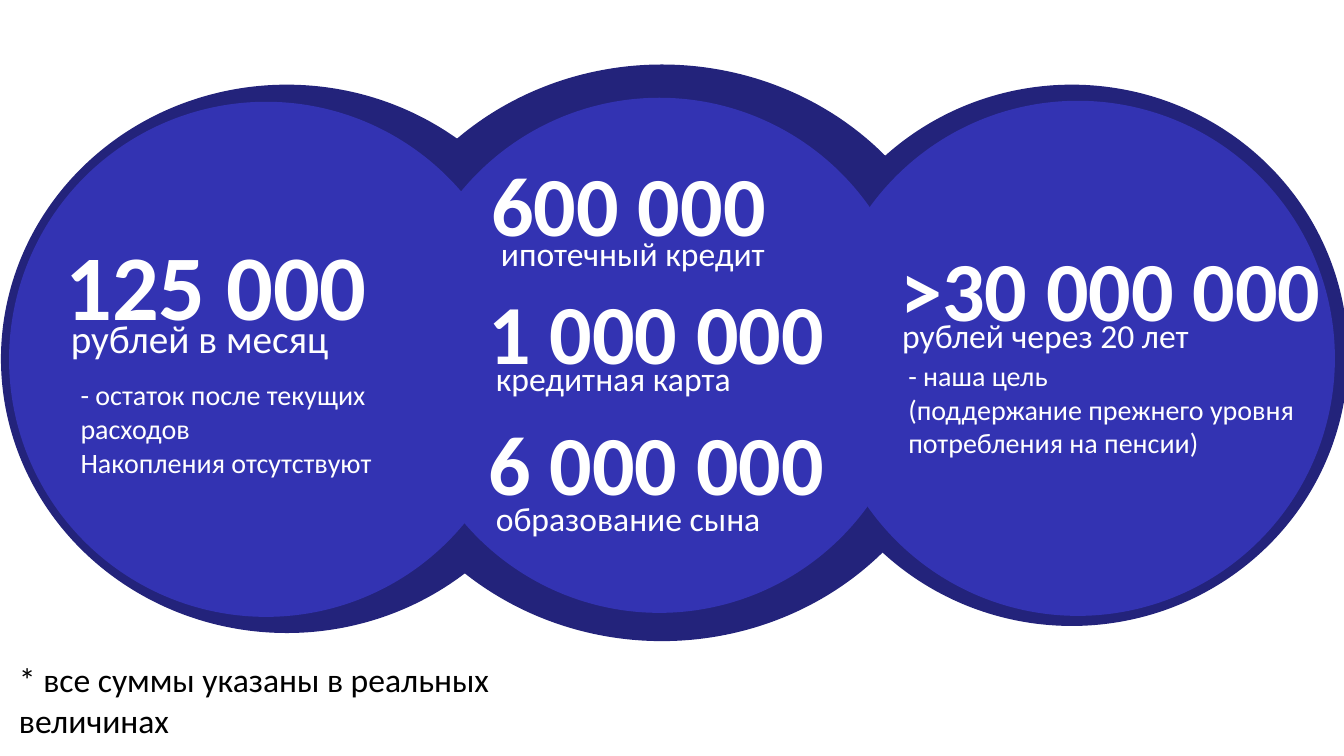
from dataclasses import dataclass

from pptx import Presentation
from pptx.dml.color import RGBColor
from pptx.enum.shapes import MSO_SHAPE
from pptx.enum.text import MSO_AUTO_SIZE, PP_ALIGN
from pptx.slide import Slide
from pptx.util import Inches, Pt

OVAL = MSO_SHAPE.OVAL
GROW = MSO_AUTO_SIZE.SHAPE_TO_FIT_TEXT
LEFT, CENTER = PP_ALIGN.LEFT, PP_ALIGN.CENTER
FONT = "Calibri"
COLORS = {"rim": "23237B", "disc": "3333B2", "light": "FFFFFF", "dark": "000000"}


@dataclass
class Disc:
    x: float
    y: float
    w: float
    h: float
    color: str = "rim"


@dataclass
class Label:
    x: float
    y: float
    w: float
    h: float
    lines: tuple[str, ...]
    size: int
    align: PP_ALIGN = LEFT
    bold: bool = False
    color: str = "light"


def amount(x: float, y: float, w: float, text: str, size: int = 60, h: float = 1.11) -> Label:
    return Label(x, y, w, h, (text,), size, CENTER, True)


def caption(x: float, y: float, w: float, text: str) -> Label:
    return Label(x, y, w, 0.5, (text,), 24)


RIMS = [
    Disc(7.89, 0.84, 5.48, 5.37),
    Disc(3.53, 0.64, 6.07, 5.72),
    Disc(0.01, 0.84, 5.67, 5.44),
]
DISCS = [Disc(x, y, 5.1, 5.11, "disc") for x, y in ((0.09, 1.01), (3.99, 0.97), (8.14, 1))]

LABELS = [
    amount(0.5, 2.21, 3.29, "125 000", 66, 1.21),
    Label(0.7, 3.7, 3.29, 1.11,
          ("- остаток после текущих расходов", "Накопления отсутствуют"), 20),
    Label(0.56, 3.07, 2.84, 0.57, ("рублей в месяц",), 28, CENTER),
    amount(4.59, 1.46, 3.29, "600 000"),
    caption(4.87, 2.26, 3.13, "ипотечный кредит"),
    amount(4.36, 2.73, 4.3, "1 000 000"),
    caption(4.82, 3.5, 4.4, "кредитная карта"),
    amount(4.36, 4.03, 4.3, "6 000 000"),
    caption(4.82, 4.89, 4.4, "образование сына"),
    amount(8.69, 2.31, 4.65, ">30 000 000"),
    caption(8.85, 3.08, 4.4, "рублей через 20 лет"),
    Label(8.91, 3.51, 4.15, 1.11,
          ("- наша цель", "(поддержание прежнего уровня потребления на пенсии)"), 20),
    Label(0.09, 6.49, 5.17, 0.91,
          ("* все суммы указаны в реальных величинах",), 24, color="dark"),
]


def rgb(name: str) -> RGBColor:
    return RGBColor.from_string(COLORS[name])


def draw_disc(s: Slide, disc: Disc) -> None:
    sp = s.shapes.add_shape(OVAL, *map(Inches, (disc.x, disc.y, disc.w, disc.h)))
    sp.shadow.inherit = False
    sp.fill.solid()
    sp.fill.fore_color.rgb = rgb(disc.color)
    sp.line.fill.background()


def draw_label(s: Slide, label: Label) -> None:
    sp = s.shapes.add_textbox(*map(Inches, (label.x, label.y, label.w, label.h)))
    tf = sp.text_frame
    tf.word_wrap = True
    tf.auto_size = GROW
    formats = {"name": FONT, "size": Pt(label.size), "bold": label.bold}
    for i, line in enumerate(label.lines):
        p = tf.add_paragraph() if i else tf.paragraphs[0]
        p.alignment = label.align
        r = p.add_run()
        r.text = line
        for key, value in formats.items():
            setattr(r.font, key, value)
        r.font.color.rgb = rgb(label.color)


def main() -> None:
    prs = Presentation()
    prs.slide_width, prs.slide_height = Inches(13.33), Inches(7.5)
    s = prs.slides.add_slide(prs.slide_layouts[6])
    for disc in RIMS + DISCS:
        draw_disc(s, disc)
    for label in LABELS:
        draw_label(s, label)
    prs.save("out.pptx")


if __name__ == "__main__":
    main()
